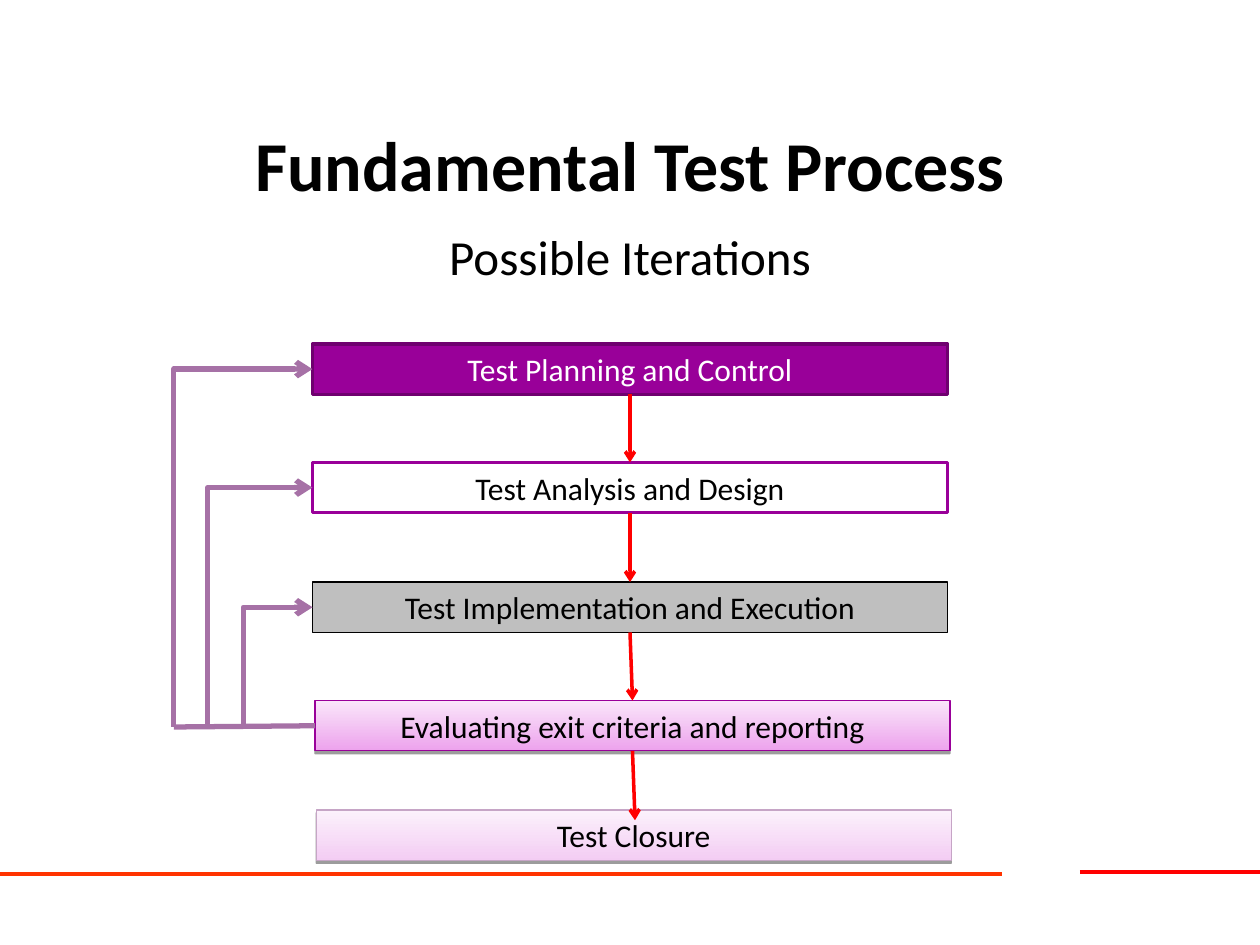
from lxml.etree import SubElement
from pptx import Presentation
from pptx.dml.color import RGBColor
from pptx.enum.shapes import MSO_CONNECTOR as Connector, MSO_SHAPE as Shape
from pptx.enum.text import MSO_ANCHOR as Anchor, MSO_AUTO_SIZE as AutoSize, PP_ALIGN as Align
from pptx.oxml.ns import qn
from pptx.util import Inches, Pt

BLACK = RGBColor(0x00, 0x00, 0x00)
WHITE = RGBColor(0xFF, 0xFF, 0xFF)
RED = RGBColor(0xFF, 0x00, 0x00)
ORANGE = RGBColor(0xFF, 0x33, 0x00)
PURPLE = RGBColor(0x99, 0x00, 0x99)
DARK_PURPLE = RGBColor(0x6F, 0x00, 0x6F)
MAUVE = RGBColor(0xA6, 0x71, 0xA6)
GRAY = RGBColor(0xBF, 0xBF, 0xBF)
PINK = RGBColor(0xED, 0xA3, 0xED)
LIGHT_PINK = RGBColor(0xFA, 0xE6, 0xFA)
PALE = RGBColor(0xF3, 0xCD, 0xF3)
LIGHT_PALE = RGBColor(0xFC, 0xF1, 0xFC)
PALE_BORDER = RGBColor(0xC6, 0xA5, 0xC6)

TITLE = "Fundamental Test Process"
SUBTITLE = "Possible Iterations"
STEPS = [
    ("Test Planning and Control", 2.48, 2.73, [PURPLE], DARK_PURPLE, 2, WHITE),
    ("Test Analysis and Design", 2.48, 3.67, [WHITE], PURPLE, 2, BLACK),
    ("Test Implementation and Execution", 2.48, 4.62, [GRAY], BLACK, 0.75, BLACK),
    ("Evaluating exit criteria and reporting", 2.5, 5.56, [PINK, LIGHT_PINK], PURPLE, 0.75, BLACK),
    ("Test Closure", 2.51, 6.43, [PALE, LIGHT_PALE], PALE_BORDER, 0.75, BLACK),
]
STEP_WIDTH, STEP_HEIGHT = 5.04, 0.4
FOOTER_LINES = [(8.57, 10, 6.92, RED), (0, 7.95, 6.94, ORANGE)]
LOOPS = [(1.93, 5.75, 4.82), (1.65, 5.75, 3.87), (1.38, 5.77, 2.93)]
LOOP_END = 2.48


def write(shape, text, size=18, color=BLACK, bold=False, anchor=Anchor.MIDDLE):
    frame = shape.text_frame
    frame.word_wrap = True
    frame.vertical_anchor = anchor
    paragraph = frame.paragraphs[0]
    paragraph.text = text
    paragraph.alignment = Align.CENTER
    font = paragraph.runs[0].font
    font.name, font.size, font.bold = "Calibri", Pt(size), bold
    font.color.rgb = color


def add_line(slide, start, end, color, width, arrow=False, kind=Connector.STRAIGHT):
    points = [Inches(value) for value in (*start, *end)]
    line = slide.shapes.add_connector(kind, *points)
    line.line.color.rgb = color
    line.line.width = Pt(width)
    if arrow:
        SubElement(line.line._get_or_add_ln(), qn("a:tailEnd"), type="arrow")
    SubElement(line._element.spPr, qn("a:effectLst"))
    return line


def add_loop(slide, x, bottom, top):
    length, reach = bottom - top, LOOP_END - x
    left = (x + LOOP_END - length) / 2
    upper = (top + bottom - reach) / 2
    loop = add_line(slide, (left, upper), (left + length, upper + reach),
                    MAUVE, 3, arrow=True, kind=Connector.ELBOW)
    properties = loop._element.spPr
    properties.find(qn("a:prstGeom")).set("prst", "bentConnector2")
    frame = properties.find(qn("a:xfrm"))
    for name, value in (("rot", "5400000"), ("flipH", "1"), ("flipV", "1")):
        frame.set(name, value)


def add_shadow(shape):
    effects = shape._element.spPr.find(qn("a:effectLst"))
    shadow = SubElement(effects, qn("a:outerShdw"), blurRad="0", dist=str(Pt(1.6)),
                        dir="5400000", rotWithShape="0")
    color = SubElement(shadow, qn("a:srgbClr"), val=str(BLACK))
    SubElement(color, qn("a:alpha"), val="38000")


def add_step(slide, text, left, top, fills, border, border_width, text_color):
    box = slide.shapes.add_shape(Shape.RECTANGLE, Inches(left), Inches(top),
                                 Inches(STEP_WIDTH), Inches(STEP_HEIGHT))
    box.shadow.inherit = False
    if len(fills) == 1:
        box.fill.solid()
        box.fill.fore_color.rgb = fills[0]
    else:
        box.fill.gradient()
        box.fill.gradient_angle = 90
        for stop, color in zip(box.fill.gradient_stops, fills):
            stop.color.rgb = color
        add_shadow(box)
    box.line.color.rgb = border
    box.line.width = Pt(border_width)
    write(box, text, color=text_color)
    box.text_frame.auto_size = AutoSize.SHAPE_TO_FIT_TEXT
    return box


def main():
    presentation = Presentation()
    presentation.slide_width, presentation.slide_height = Inches(10), Inches(7.5)
    slide = presentation.slides.add_slide(presentation.slide_layouts[5])

    for start, end, y, color in FOOTER_LINES:
        add_line(slide, (start, y), (end, y), color, 2.25)

    title = slide.shapes.title
    title.left, title.top = Inches(0.75), Inches(0.67)
    title.width, title.height = Inches(8.5), Inches(1.25)
    write(title, TITLE, size=40, bold=True)
    subtitle = slide.shapes.add_textbox(Inches(0.5), Inches(1.75), Inches(9), Inches(0.74))
    write(subtitle, SUBTITLE, size=28, anchor=Anchor.TOP)

    boxes = [add_step(slide, *step) for step in STEPS]
    for box, following in zip(boxes, boxes[1:]):
        arrow = add_line(slide, (5.03, 5.97), (5.04, 6.51), RED, 2, arrow=True)
        arrow.begin_connect(box, 2)
        if following is not boxes[-1]:
            arrow.end_connect(following, 0)

    for loop in LOOPS:
        add_loop(slide, *loop)
    feedback = add_line(slide, (2.5, 5.77), (1.38, 5.77), MAUVE, 3)
    feedback.begin_connect(boxes[3], 1)

    presentation.save("out.pptx")


if __name__ == "__main__":
    main()
